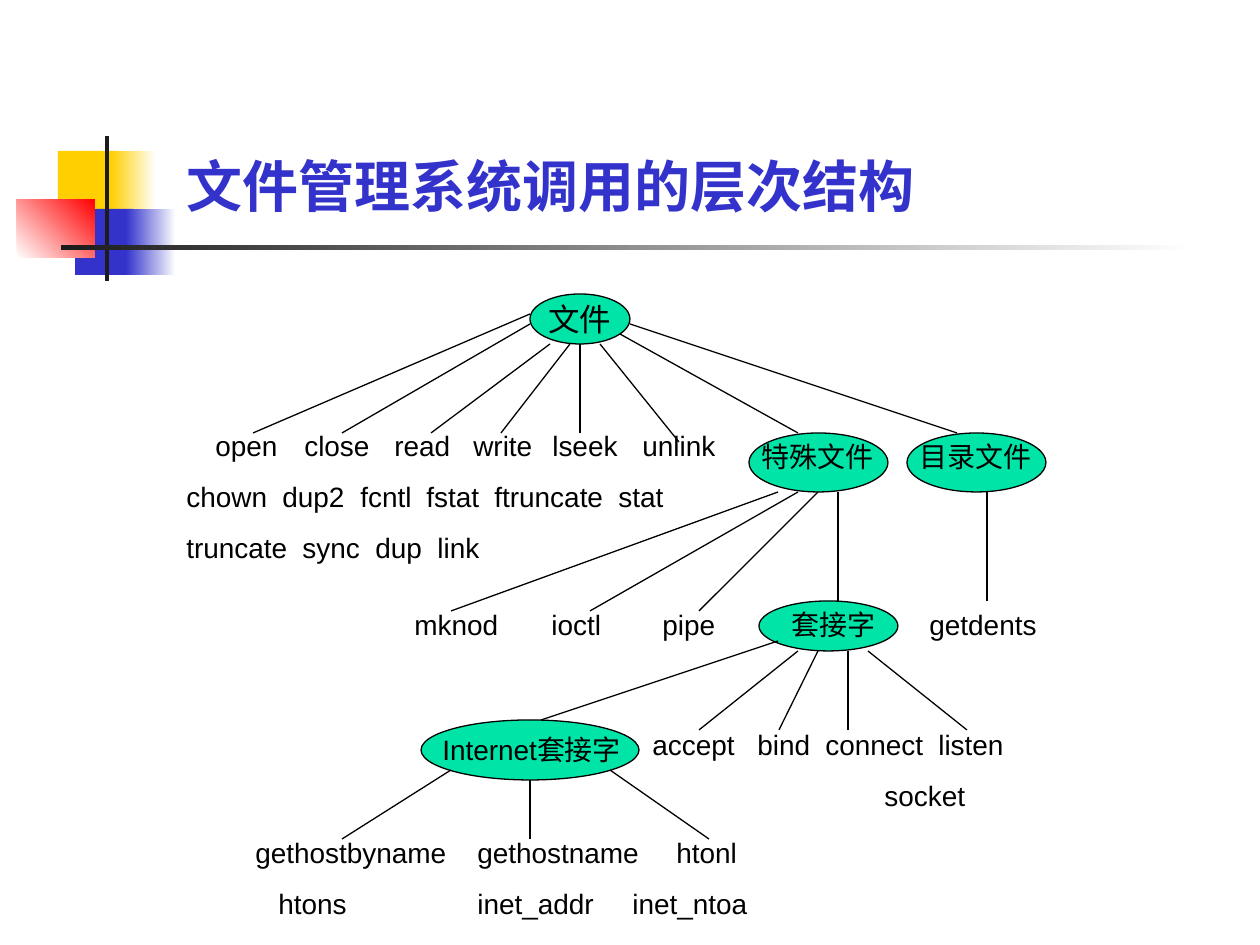
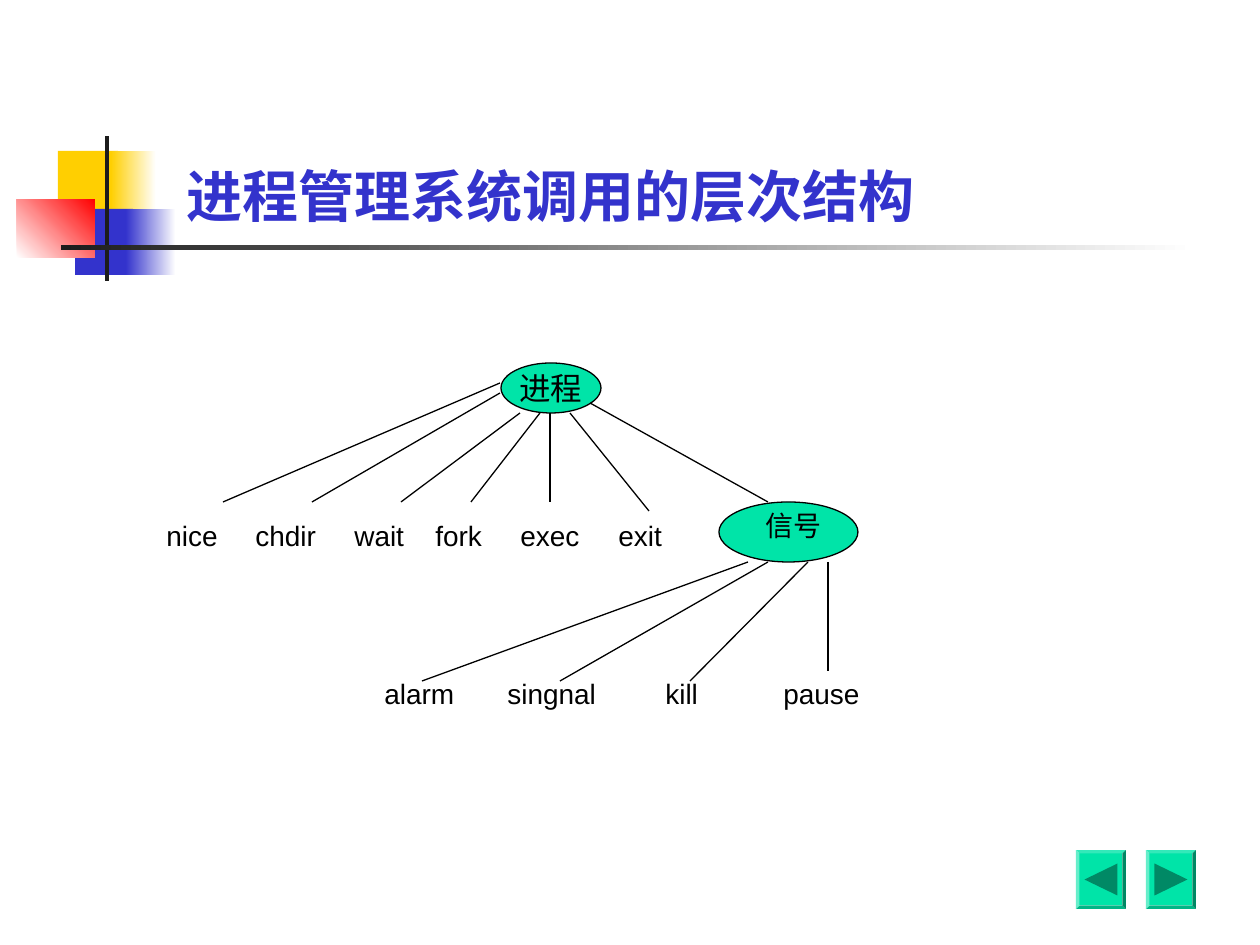
from lxml import etree
from pptx import Presentation
from pptx import util as u
from pptx.dml.color import RGBColor
from pptx.enum import shapes, text
from pptx.oxml import ns

SCALE = 914400 / 126
YELLOW = RGBColor(0xFF, 0xCF, 0x01)
BLUE = RGBColor(0x33, 0x33, 0xCC)
RED = RGBColor(0xFF, 0x00, 0x00)
WHITE = RGBColor(0xFF, 0xFF, 0xFF)
CHARCOAL = RGBColor(0x1C, 0x1C, 0x1C)
BLACK = RGBColor(0x00, 0x00, 0x00)
GREEN = RGBColor(0x00, 0xE4, 0xA8)
DARK_GREEN = RGBColor(0x00, 0x89, 0x65)
LEFT, CENTER = text.PP_ALIGN.LEFT, text.PP_ALIGN.CENTER
PRESET = shapes.MSO_SHAPE


def add_part(slide, preset, box, colours, angle=0):
    part = slide.shapes.add_shape(preset, *[u.Emu(round(n * SCALE)) for n in box])
    part.shadow.inherit = False
    part.line.fill.background()
    if len(colours) == 1:
        part.fill.solid()
        part.fill.fore_color.rgb = colours[0]
    else:
        part.fill.gradient()
        part.fill.gradient_angle = angle
        for stop, colour in zip(part.fill.gradient_stops, colours):
            stop.color.rgb = colour
    return part


def write_lines(holder, box, lines, size, colour=BLACK, align=LEFT, bold=False):
    holder.left, holder.top, holder.width, holder.height = [
        u.Emu(round(n * SCALE)) for n in box]
    frame = holder.text_frame
    frame.word_wrap = True
    frame.auto_size = text.MSO_AUTO_SIZE.SHAPE_TO_FIT_TEXT
    frame.vertical_anchor = text.MSO_ANCHOR.TOP
    for number, words in enumerate(lines):
        line = frame.paragraphs[0] if number == 0 else frame.add_paragraph()
        line.alignment = align
        line.space_before = u.Pt(size * 0.625)
        stops = [offset for offset, word in words if offset]
        if stops:
            tabs = etree.SubElement(line._p.get_or_add_pPr(), ns.qn("a:tabLst"))
            for offset in stops:
                etree.SubElement(tabs, ns.qn("a:tab"), pos=str(round(offset * SCALE)), algn="l")
        for offset, word in words:
            run = line.add_run()
            run.text = "\t" + word if offset else word
            run.font.name = "Arial"
            run.font.size = u.Pt(size)
            run.font.bold = bold
            run.font.color.rgb = colour


BAND = [
    ((58, 151, 60, 66), (YELLOW,), 0),
    ((111, 151, 45, 66), (YELLOW, WHITE), 0),
    ((75, 209, 58, 66), (BLUE,), 0),
    ((126, 209, 50, 66), (BLUE, WHITE), 0),
    ((17, 199, 78, 59), (WHITE, RED), 45),
    ((105, 136, 4, 145), (CHARCOAL,), 0),
    ((61, 245, 1134, 5), (CHARCOAL, WHITE), 0),
]

ROOT_FAN = [
    (530, 314, 253, 433), (530, 324, 342, 433), (550, 344, 431, 433),
    (570, 344, 501, 433), (580, 344, 580, 433), (600, 344, 679, 442),
    (620, 334, 798, 433),
]

FILE_CALLS = [(203, "open"), (292, "close"), (382, "read"),
              (461, "write"), (540, "lseek"), (630, "unlink")]

file_tree = {
    "title": ("文件管理系统调用的层次结构", (174, 145, 823, 81)),
    "nodes": [(530, 294, 100, 50), (749, 433, 139, 59), (907, 433, 139, 59),
              (759, 601, 139, 50), (421, 720, 218, 60)],
    "branches": ROOT_FAN + [
        (630, 324, 957, 433),
        (778, 492, 451, 611), (798, 492, 590, 611), (818, 492, 699, 611),
        (838, 492, 838, 601), (987, 492, 987, 601),
        (778, 641, 541, 720), (798, 651, 699, 730), (818, 651, 779, 730),
        (848, 651, 848, 730), (868, 651, 967, 730),
        (451, 770, 342, 839), (530, 780, 530, 839), (610, 770, 709, 839)],
    "labels": [
        ((520, 294, 119, 50), 18, CENTER, [[(0, "文件")]]),
        ((749, 433, 149, 47), 16, LEFT, [[(0, "特殊文件")]]),
        ((907, 433, 149, 47), 16, LEFT, [[(0, "目录文件")]]),
        ((779, 601, 149, 47), 16, LEFT, [[(0, "套接字")]]),
        ((430, 726, 238, 47), 16, LEFT, [[(0, "Internet套接字")]]),
        ((917, 601, 169, 47), 16, LEFT, [[(0, "getdents")]]),
        ((174, 473, 576, 97), 16, LEFT, [
            [(0, "chown"), (96, "dup2"), (174, "fcntl"), (240, "fstat"),
             (308, "ftruncate"), (432, "stat")],
            [(0, "truncate"), (116, "sync"), (189, "dup"), (251, "link")]]),
        ((402, 601, 387, 47), 16, LEFT, [[(0, "mknod"), (137, "ioctl"), (248, "pipe")]]),
        ((640, 721, 427, 97), 16, LEFT, [
            [(0, "accept"), (105, "bind"), (173, "connect"), (286, "listen")],
            [(232, "socket")]]),
        ((243, 829, 566, 97), 16, LEFT, [
            [(0, "gethostbyname"), (222, "gethostname"), (421, "htonl")],
            [(23, "htons"), (222, "inet_addr"), (377, "inet_ntoa")]]),
    ] + [((x, 422, 149, 47), 16, LEFT, [[(0, call)]]) for x, call in FILE_CALLS],
    "buttons": [],
}

process_tree = {
    "title": ("进程管理系统调用的层次结构", (174, 155, 804, 81)),
    "nodes": [(501, 363, 100, 50), (719, 502, 139, 60)],
    "branches": [(x1 - 30, y1 + 69, x2 - 30, y2 + 69) for x1, y1, x2, y2 in ROOT_FAN] + [
        (748, 562, 422, 681), (768, 562, 560, 681),
        (808, 562, 690, 681), (828, 562, 828, 671)],
    "labels": [
        ((491, 363, 119, 50), 18, CENTER, [[(0, "进程")]]),
        ((719, 502, 149, 47), 16, CENTER, [[(0, "信号")]]),
        ((154, 512, 576, 47), 16, LEFT, [
            [(0, "nice"), (89, "chdir"), (188, "wait"), (269, "fork"),
             (354, "exec"), (452, "exit")]]),
        ((372, 670, 525, 47), 16, LEFT, [
            [(0, "alarm"), (123, "singnal"), (281, "kill"), (399, "pause")]]),
    ],
    "buttons": [(1076, 270), (1146, 90)],
}

deck = Presentation()
deck.slide_width = u.Inches(10)
deck.slide_height = u.Inches(7.5)

for tree in (file_tree, process_tree):
    slide = deck.slides.add_slide(deck.slide_layouts[5])
    for box, colours, angle in BAND:
        add_part(slide, PRESET.RECTANGLE, box, colours, angle)

    heading, heading_box = tree["title"]
    write_lines(slide.shapes.title, heading_box, [[(0, heading)]], 32, BLUE, LEFT, True)

    for box in tree["nodes"]:
        node = add_part(slide, PRESET.OVAL, box, (GREEN,))
        node.line.color.rgb = BLACK
        node.line.width = u.Pt(0.75)

    for ends in tree["branches"]:
        branch = slide.shapes.add_connector(
            shapes.MSO_CONNECTOR.STRAIGHT, *[u.Emu(round(n * SCALE)) for n in ends])
        branch.line.color.rgb = BLACK
        branch.line.width = u.Pt(0.75)
        etree.SubElement(branch._element.spPr, ns.qn("a:effectLst"))

    for box, size, align, lines in tree["labels"]:
        label = slide.shapes.add_textbox(0, 0, 0, 0)
        write_lines(label, box, lines, size, BLACK, align)

    for x, turn in tree["buttons"]:
        button = add_part(slide, PRESET.BEVEL, (x, 850, 50, 59), (GREEN,))
        button.adjustments[0] = 0.07
        arrow = add_part(slide, PRESET.ISOSCELES_TRIANGLE, (x + 9, 863, 32, 33), (DARK_GREEN,))
        arrow.rotation = turn

deck.save("out.pptx")
